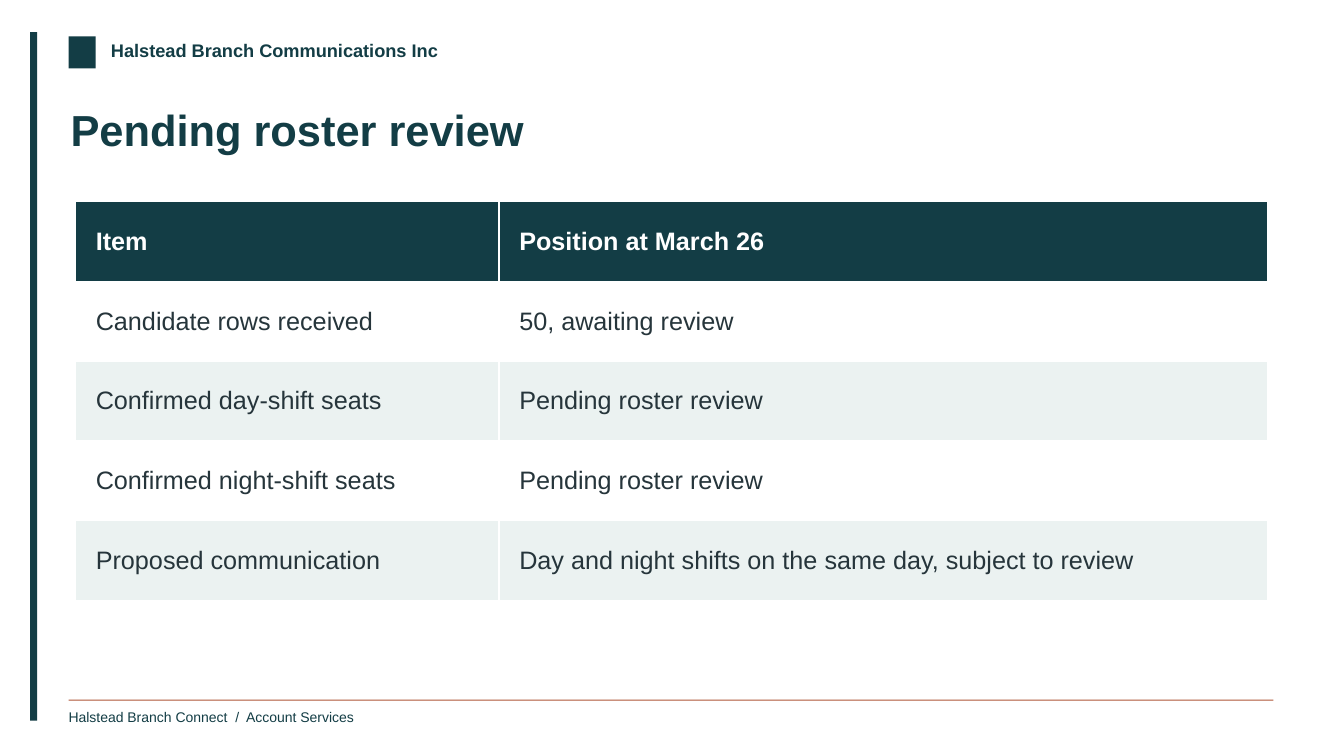
from dataclasses import dataclass

from pptx import Presentation
from pptx.dml.color import RGBColor
from pptx.enum.shapes import MSO_SHAPE
from pptx.enum.text import MSO_ANCHOR
from pptx.util import Inches, Pt

TEAL, RUST, INK, MIST, WHITE = "133D45", "AF5636", "26353B", "EBF2F1", "FFFFFF"
Box = tuple[float, float, float, float]


@dataclass(frozen=True)
class Bar:
    box: Box
    color: str


@dataclass(frozen=True)
class Label:
    text: str
    box: Box
    size: float
    bold: bool = False
    wrap: bool = False


BARS = [
    Bar((0.3, 0.32, 0.07, 6.83), TEAL),    # side rail
    Bar((0.68, 0.36, 0.27, 0.32), TEAL),   # plain brand block
    Bar((0.68, 6.94, 11.95, 0.01), RUST),  # footer rule
]
LABELS = [
    Label("Halstead Branch Communications Inc", (1.1, 0.39, 3.55, 0.27), 13, bold=True),
    Label("Halstead Branch Connect  /  Account Services", (0.68, 7.03, 3.2, 0.23), 10),
    Label("Pending roster review", (0.7, 1.02, 11.9, 0.86), 31, bold=True, wrap=True),
]
ROSTER = [
    ("Item", "Position at March 26"),
    ("Candidate rows received", "50, awaiting review"),
    ("Confirmed day-shift seats", "Pending roster review"),
    ("Confirmed night-shift seats", "Pending roster review"),
    ("Proposed communication", "Day and night shifts on the same day, subject to review"),
]
COLUMN_WIDTHS = (4.2, 7.62)
TABLE_HEIGHT = 3.96
CELL_FORMAT = {
    "margin_left": Inches(0.2),
    "margin_right": Inches(0.12),
    "margin_top": Inches(0.05),
    "margin_bottom": Inches(0.05),
    "vertical_anchor": MSO_ANCHOR.MIDDLE,
}


def rgb(color: str) -> RGBColor:
    return RGBColor.from_string(color)


def apply_format(target, values: dict) -> None:
    for name, value in values.items():
        setattr(target, name, value)


def write(tf, text: str, size: float, color: str, bold: bool) -> None:
    r = tf.paragraphs[0].add_run()
    r.text = text
    apply_format(r.font, {"name": "Arial", "size": Pt(size), "bold": bold})
    r.font.color.rgb = rgb(color)


def draw_bar(s, bar: Bar) -> None:
    sp = s.shapes.add_shape(MSO_SHAPE.RECTANGLE, *map(Inches, bar.box))
    sp.shadow.inherit = False
    sp.fill.solid()
    sp.fill.fore_color.rgb = rgb(bar.color)
    sp.line.fill.background()


def draw_label(s, label: Label) -> None:
    tf = s.shapes.add_textbox(*map(Inches, label.box)).text_frame
    apply_format(tf, {
        "margin_left": 0, "margin_right": 0, "margin_top": 0, "margin_bottom": 0,
        "word_wrap": label.wrap, "vertical_anchor": MSO_ANCHOR.TOP,
    })
    write(tf, label.text, label.size, TEAL, label.bold)


def draw_roster(s, left: float, top: float) -> None:
    # The default table style supplies the white cell borders
    table = s.shapes.add_table(
        len(ROSTER), len(COLUMN_WIDTHS),
        *map(Inches, (left, top, sum(COLUMN_WIDTHS), TABLE_HEIGHT)),
    ).table
    for column, column_width in zip(table.columns, COLUMN_WIDTHS):
        column.width = Inches(column_width)
    for i, texts in enumerate(ROSTER):
        header = i == 0
        fill = TEAL if header else (MIST if i % 2 == 0 else WHITE)
        for j, text in enumerate(texts):
            cell = table.cell(i, j)
            apply_format(cell, CELL_FORMAT)
            cell.fill.solid()
            cell.fill.fore_color.rgb = rgb(fill)
            write(cell.text_frame, text, 18, WHITE if header else INK, header)


def main() -> None:
    prs = Presentation()
    apply_format(prs, {"slide_width": Inches(13.33), "slide_height": Inches(7.5)})
    s = prs.slides.add_slide(prs.slide_layouts[6])

    # Frame, header, footer and title
    for bar in BARS:
        draw_bar(s, bar)
    for label in LABELS:
        draw_label(s, label)

    # Roster table
    draw_roster(s, 0.75, 2)
    prs.save("out.pptx")


if __name__ == "__main__":
    main()
